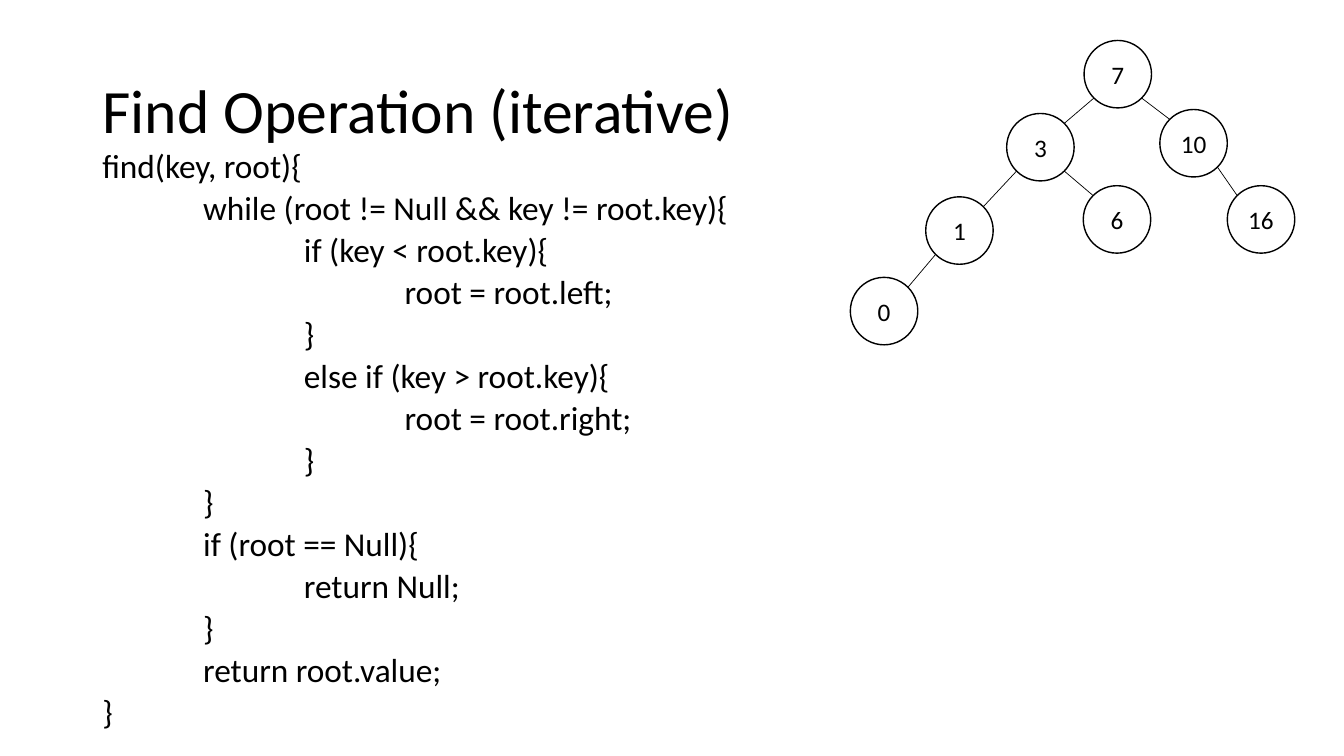
from math import sqrt

from lxml.etree import SubElement
from pptx import Presentation
from pptx.dml.color import RGBColor
from pptx.enum.shapes import MSO_CONNECTOR as Link, MSO_SHAPE as Shape
from pptx.enum.text import MSO_ANCHOR as Anchor, MSO_AUTO_SIZE as Fit, PP_ALIGN as Align
from pptx.oxml.ns import qn
from pptx.util import Cm, Pt

BLACK = RGBColor(0, 0, 0)
WHITE = RGBColor(255, 255, 255)
FONT = "Calibri"

CODE = """find(key, root){
\twhile (root != Null && key != root.key){
\t\tif (key < root.key){
\t\t\troot = root.left;
\t\t}
\t\telse if (key > root.key){
\t\t\troot = root.right;
\t\t}
\t}
\tif (root == Null){
\t\treturn Null;
\t}
\treturn root.value;
}"""
TAB = 2.54

# Key: left and top in cm within the tree's box, and the parent's key
NODES = {
    7: (5.89, 0, None),
    3: (3.94, 1.84, 7),
    10: (7.8, 1.74, 7),
    1: (1.9, 3.94, 3),
    6: (5.87, 3.66, 3),
    16: (9.5, 3.66, 10),
    0: (0, 5.97, 1),
}
SIZE = 1.7
REACH = SIZE / 2 / sqrt(2)


def style(para, size, align, space=1.0):
    para.alignment = align
    para.line_spacing = space
    for run in para.runs:
        run.font.name = FONT
        run.font.size = Pt(size)
        run.font.color.rgb = BLACK


def place(shape, left, top, width, height):
    shape.left, shape.top = Cm(left), Cm(top)
    shape.width, shape.height = Cm(width), Cm(height)


def add_title(slide, text, *box):
    title = slide.shapes.title
    place(title, *box)
    frame = title.text_frame
    frame.text = text
    frame.auto_size = Fit.NONE
    frame.vertical_anchor = Anchor.MIDDLE
    style(frame.paragraphs[0], 44, Align.LEFT, 0.9)


def add_code(slide, code, left, top, width, height):
    area = slide.shapes.add_textbox(Cm(left), Cm(top), Cm(width), Cm(height))
    frame = area.text_frame
    frame.word_wrap = True
    frame.text = code
    for row, para in enumerate(frame.paragraphs):
        para._p.get_or_add_pPr().set("defTabSz", str(Cm(TAB)))
        style(para, 23.8, Align.LEFT, 0.7)
        para.space_before = Pt(10 if row else 0)


def add_node(group, key, left, top):
    node = group.shapes.add_shape(Shape.OVAL, Cm(left), Cm(top), Cm(SIZE), Cm(SIZE))
    node.shadow.inherit = False
    node.fill.solid()
    node.fill.fore_color.rgb = WHITE
    node.line.color.rgb = BLACK
    node.line.width = Pt(1)
    frame = node.text_frame
    frame.margin_left = frame.margin_right = 0
    frame.word_wrap = False
    frame.vertical_anchor = Anchor.MIDDLE
    frame.text = str(key)
    style(frame.paragraphs[0], 18, Align.CENTER)


def add_edge(group, start, end):
    """Join two node centres, from rim to rim at the diagonal points."""
    side = REACH if end[0] > start[0] else -REACH
    edge = group.shapes.add_connector(
        Link.STRAIGHT,
        Cm(start[0] + side), Cm(start[1] + REACH),
        Cm(end[0] - side), Cm(end[1] - REACH),
    )
    edge.line.color.rgb = BLACK
    edge.line.width = Pt(0.5)
    SubElement(edge._element.spPr, qn("a:effectLst"))


def add_tree(slide, left, top):
    group = slide.shapes.add_group_shape()
    mid = {}
    for key, (x, y, _) in NODES.items():
        add_node(group, key, left + x, top + y)
        mid[key] = (left + x + SIZE / 2, top + y + SIZE / 2)
    for key, (_, _, root) in NODES.items():
        if root is not None:
            add_edge(group, mid[root], mid[key])


def main():
    deck = Presentation()
    deck.slide_width, deck.slide_height = Cm(33.87), Cm(19.05)
    slide = deck.slides.add_slide(deck.slide_layouts[5])
    add_title(slide, "Find Operation (iterative)", 2.33, 1.01, 29.21, 3.68)
    add_code(slide, CODE, 2.33, 3.81, 29.21, 15.24)
    add_tree(slide, 21.43, 1.02)
    deck.save("out.pptx")


if __name__ == "__main__":
    main()
